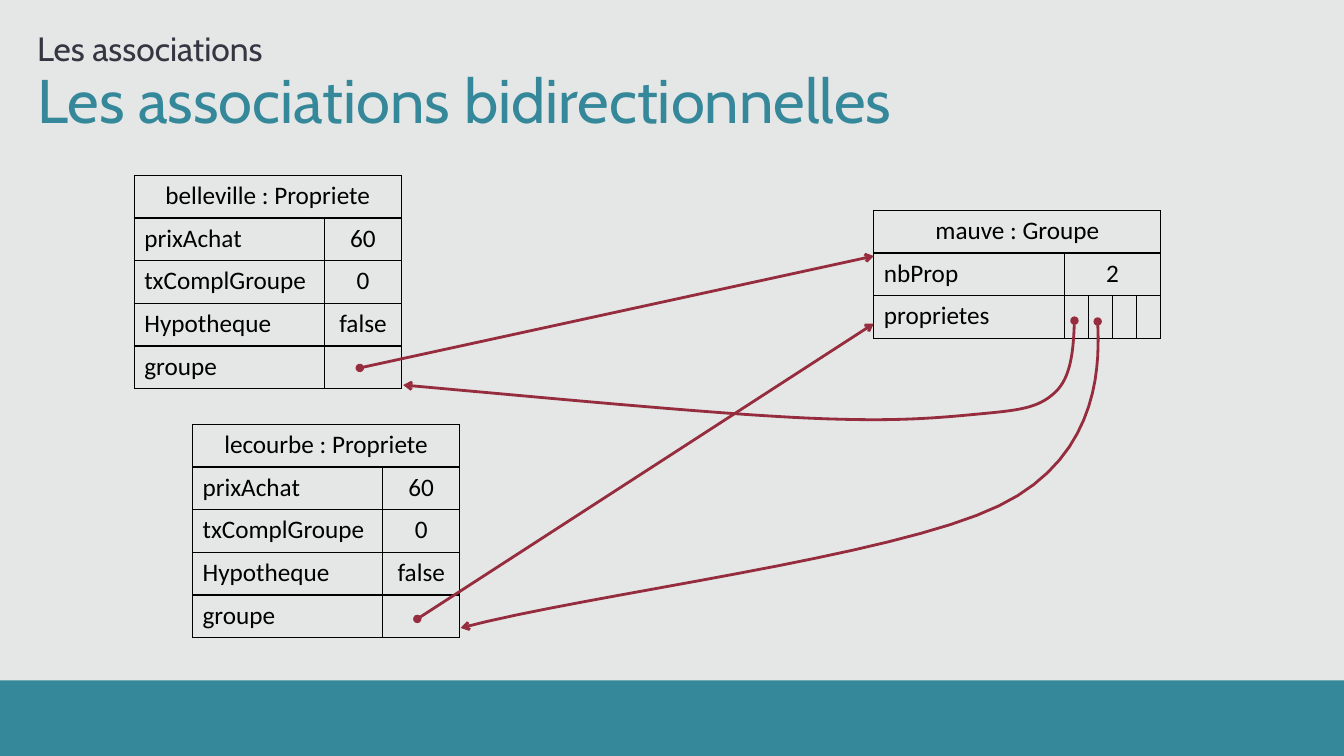
from lxml import etree
from pptx import Presentation
from pptx.dml.color import RGBColor
from pptx.enum.shapes import MSO_CONNECTOR, MSO_SHAPE
from pptx.enum.text import MSO_ANCHOR, PP_ALIGN
from pptx.oxml.ns import qn
from pptx.util import Pt

STRAIGHT = MSO_CONNECTOR.STRAIGHT
RECT = MSO_SHAPE.RECTANGLE
TOP, BOTTOM = MSO_ANCHOR.TOP, MSO_ANCHOR.BOTTOM
LEFT, CENTER = PP_ALIGN.LEFT, PP_ALIGN.CENTER

COLORS = {"bg": "E5E6E6", "teal": "348899", "dark": "343642",
          "black": "000000", "red": "962D3E"}
ROW_H = 30.5
NAME_W = 136
VALUE_W = 54.8
SLOT_W = 17.1
CURVE_STEPS = 16


def rgb(name):
    return RGBColor.from_string(COLORS[name])


def add_run(p, text, font, size, color):
    r = p.add_run()
    r.text = text
    r.font.name = font
    r.font.size = Pt(size)
    r.font.color.rgb = rgb(color)


def fill_heading(sp, box, text, size, color, anchor):
    sp.left, sp.top, sp.width, sp.height = (Pt(v) for v in box)
    tf = sp.text_frame
    tf.word_wrap = True
    tf.vertical_anchor = anchor
    tf.margin_left = tf.margin_right = tf.margin_top = tf.margin_bottom = 0
    p = tf.paragraphs[0]
    p.alignment = LEFT
    p.line_spacing = 0.9
    add_run(p, text, "Cabin", size, color)


def add_footer_band(s):
    sp = s.shapes.add_shape(RECT, 0, Pt(486), Pt(960), Pt(54))
    sp.shadow.inherit = False
    sp.fill.solid()
    sp.fill.fore_color.rgb = rgb("teal")
    sp.line.fill.background()


def set_borders(cell):
    tcPr = cell._tc.get_or_add_tcPr()
    for i, side in enumerate(("a:lnL", "a:lnR", "a:lnT", "a:lnB")):
        ln = etree.Element(qn(side), w=str(Pt(1)))
        solid = etree.SubElement(ln, qn("a:solidFill"))
        etree.SubElement(solid, qn("a:srgbClr"), val=COLORS["black"])
        tcPr.insert(i, ln)


def add_object_table(s, left, top, title, fields, value_widths):
    widths = [NAME_W] + value_widths
    n_rows, n_cols = len(fields) + 1, len(widths)
    table = s.shapes.add_table(n_rows, n_cols, Pt(left), Pt(top),
                               Pt(sum(widths)), Pt(ROW_H * n_rows)).table
    table.first_row = table.horz_banding = False
    for col, width in zip(table.columns, widths):
        col.width = Pt(width)
    for row in table.rows:
        row.height = Pt(ROW_H)
    for cell in table.iter_cells():
        cell.fill.background()
        set_borders(cell)

    def write(row, col, text, align):
        p = table.cell(row, col).text_frame.paragraphs[0]
        p.alignment = align
        add_run(p, text, "Calibri", 18, "black")

    table.cell(0, 0).merge(table.cell(0, n_cols - 1))
    write(0, 0, title, CENTER)
    for i, (name, value) in enumerate(fields, 1):
        write(i, 0, name, LEFT)
        if value:
            if n_cols > 2:
                table.cell(i, 1).merge(table.cell(i, n_cols - 1))
            write(i, 1, value, CENTER)


def style_reference(sp):
    sp.line.color.rgb = rgb("red")
    sp.line.width = Pt(2)
    ln = sp.line._get_or_add_ln()
    etree.SubElement(ln, qn("a:headEnd"), type="oval")
    etree.SubElement(ln, qn("a:tailEnd"), type="arrow")


def add_straight_reference(s, start, end):
    sp = s.shapes.add_connector(STRAIGHT, *(Pt(v) for v in start + end))
    style_reference(sp)
    etree.SubElement(sp._element.spPr, qn("a:effectLst"))


def bezier_point(controls, t):
    weights = ((1 - t) ** 3, 3 * t * (1 - t) ** 2, 3 * t * t * (1 - t), t ** 3)
    return tuple(Pt(sum(w * c[axis] for w, c in zip(weights, controls)))
                 for axis in (0, 1))


def add_curved_reference(s, points):
    fb = s.shapes.build_freeform(Pt(points[0][0]), Pt(points[0][1]))
    curve = [bezier_point(points[i:i + 4], k / CURVE_STEPS)
             for i in range(0, len(points) - 1, 3)
             for k in range(1, CURVE_STEPS + 1)]
    fb.add_line_segments(curve, close=False)
    sp = fb.convert_to_shape()
    sp.shadow.inherit = False
    sp.fill.background()
    style_reference(sp)


def main():
    prs = Presentation()
    prs.slide_width, prs.slide_height = Pt(960), Pt(540)
    s = prs.slides.add_slide(prs.slide_layouts[5])
    s.background.fill.solid()
    s.background.fill.fore_color.rgb = rgb("bg")
    add_footer_band(s)
    fill_heading(s.shapes.title, (26.6, 50.4, 910, 95),
                 "Les associations bidirectionnelles", 44, "teal", TOP)
    subtitle = s.shapes.add_textbox(0, 0, 0, 0)
    fill_heading(subtitle, (26.6, 15.1, 910, 33.8),
                 "Les associations", 24, "dark", BOTTOM)

    property_fields = [("prixAchat", "60"), ("txComplGroupe", "0"),
                       ("Hypotheque", "false"), ("groupe", "")]
    add_object_table(s, 95.9, 125.3, "belleville : Propriete",
                     property_fields, [VALUE_W])
    add_object_table(s, 137.5, 303.1, "lecourbe : Propriete",
                     property_fields, [VALUE_W])
    add_object_table(s, 624.2, 150.3, "mauve : Groupe",
                     [("nbProp", "2"), ("proprietes", "")], [SLOT_W] * 4)

    add_straight_reference(s, (257, 262.8), (624.2, 182.9))
    add_straight_reference(s, (298.1, 442.1), (624.2, 231.1))
    add_curved_reference(s, [
        (767.5, 229), (766.8, 249.1), (765.4, 269.3), (753.8, 280.1),
        (741.6, 291.6), (728.6, 293), (697, 295.9),
        (666, 298.8), (635, 301.7), (566.6, 298.1),
        (498.2, 294.5), (393.1, 284.4), (288, 275)])
    add_curved_reference(s, [
        (784.1, 229.7), (784.8, 252.7), (789.8, 324.7), (713.5, 361.4),
        (637.9, 398.2), (421.2, 424.1), (329, 448.6)])
    prs.save("out.pptx")


if __name__ == "__main__":
    main()
